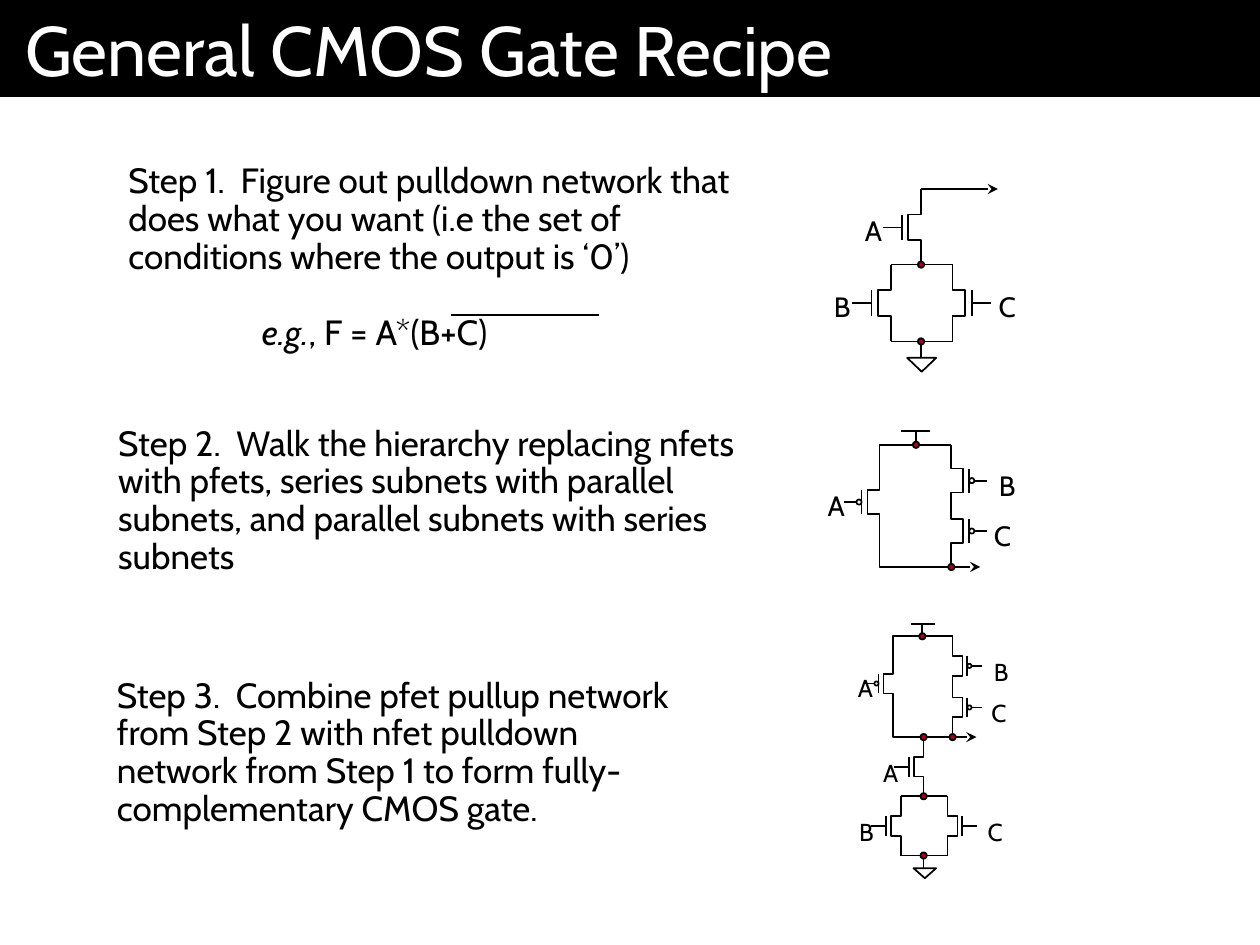
from pptx import Presentation
from pptx import util as u
from pptx.dml.color import RGBColor
from pptx.enum import shapes, text
from pptx.oxml.ns import qn
from lxml import etree

BLACK = RGBColor(0, 0, 0)
WHITE = RGBColor(255, 255, 255)
RED = RGBColor(0xA5, 0x00, 0x21)

prs = Presentation()
prs.slide_width, prs.slide_height = u.Inches(10), u.Inches(7.5)
s = prs.slides.add_slide(prs.slide_layouts[6])
CELL = prs.slide_width // 100  # grid of 100 columns by 75 rows


def wire(g, *pts, arrow=False):
    """Draw a thin line through grid points, with an arrowhead if asked."""
    pts = [(round(x * CELL), round(y * CELL)) for x, y in pts]
    if len(pts) == 2:
        sp = g.add_connector(shapes.MSO_CONNECTOR.STRAIGHT, *pts[0], *pts[1])
    else:
        fb = g.build_freeform(*pts[0], scale=1.0)
        fb.add_line_segments(pts[1:], close=False)
        sp = fb.convert_to_shape()
        sp.fill.background()
    sp.line.color.rgb = BLACK
    sp.line.width = u.Pt(1)
    if arrow:
        etree.SubElement(sp.line._get_or_add_ln(), qn("a:tailEnd"), type="stealth")
    etree.SubElement(sp._element.spPr, qn("a:effectLst"))


def write(g, box, paras, size, wrap=True, align=None):
    """Add a text box; each paragraph is a list of (words, italic) runs."""
    sp = g.add_textbox(*(round(v * CELL) for v in box))
    tf = sp.text_frame
    tf.word_wrap = wrap
    for i, runs in enumerate(paras):
        p = tf.paragraphs[0] if i == 0 else tf.add_paragraph()
        p.line_spacing = 0.9
        p.alignment = align
        for words, italic in runs:
            r = p.add_run()
            r.text = words
            fmt = {"name": "Cabin", "size": u.Pt(size), "italic": italic}
            for key, value in fmt.items():
                setattr(r.font, key, value)
            r.font.color.rgb = BLACK
    return tf


# Title bar
sp = s.shapes.add_shape(shapes.MSO_SHAPE.RECTANGLE, 0, 0, prs.slide_width, round(7.7 * CELL))
sp.shadow.inherit = False
sp.fill.solid()
sp.fill.fore_color.rgb = BLACK
sp.line.fill.background()
tf = sp.text_frame
tf.margin_left = tf.margin_right = 2 * CELL
tf.vertical_anchor = text.MSO_ANCHOR.MIDDLE
p = tf.paragraphs[0]
p.alignment = text.PP_ALIGN.LEFT
r = p.add_run()
r.text = "General CMOS Gate Recipe"
for key, value in {"name": "Cabin", "size": u.Pt(40)}.items():
    setattr(r.font, key, value)
r.font.color.rgb = WHITE

# Steps
tf = write(s.shapes, (9.2, 12.5, 50.2, 16.2), [
    [("Step 1.  Figure out pulldown network that does what you want "
      "(i.e the set of conditions where the output is ‘0’)", False)],
    [("e.g.", True), (", F = A*(B+C)", False)],
], 20)
p = tf.paragraphs[1]  # the formula stands apart and indented
p.space_before = u.Pt(22)
p._p.get_or_add_pPr().set("marL", str(round(10.6 * CELL)))
wire(s.shapes, (35.8, 25), (47.5, 25))  # overline of the formula

write(s.shapes, (8.4, 33.3, 51.6, 13.2), [
    [("Step 2.  Walk the hierarchy replacing nfets with pfets, series subnets "
      "with parallel subnets, and parallel subnets with series subnets", False)],
], 20)
write(s.shapes, (8.3, 53.3, 48.3, 13.2), [
    [("Step 3.  Combine pfet pullup network from Step 2 with nfet pulldown", False)],
    [("network from Step 1 to form fully-complementary CMOS gate.", False)],
], 20)

# Circuits: fets are (x, top, height, gate side, is pfet)
circuits = [
    {   # pulldown network
        "fets": [(73.1, 15, 6.1, -1, False), (70.7, 21, 6.1, -1, False),
                 (75.6, 21, 6.1, 1, False)],
        "wires": [[(70.7, 21), (75.6, 21)], [(70.7, 27.1), (75.6, 27.1)],
                  [(73.1, 27.1), (73.1, 28.3)]],
        "output": [(73.1, 15), (79.2, 15)],
        "ground": (72, 28.4, 2.3, 1.1),
        "dots": [(73.1, 21), (73.1, 27.1)],
        "labels": [("A", 67.1, 16.8), ("B", 65.2, 22.8), ("C", 78.1, 22.8)],
        "size": 16, "align": text.PP_ALIGN.RIGHT,
    },
    {   # pullup network
        "fets": [(69.8, 37, 5.7, -1, True), (75.5, 35.3, 5.7, 1, True),
                 (75.5, 39.3, 5.7, 1, True)],
        "wires": [[(69.8, 37), (69.8, 35.3), (75.5, 35.3)],
                  [(72.7, 35.3), (72.7, 34.2)], [(71.5, 34.2), (73.8, 34.2)]],
        "output": [(69.8, 42.7), (69.8, 45), (77.8, 45)],
        "dots": [(72.7, 35.3), (75.5, 45)],
        "labels": [("A", 64.7, 38.6), ("B", 78.3, 37), ("C", 77.9, 41)],
        "size": 16, "align": None,
    },
    {   # complete gate
        "fets": [(70.9, 51.9, 4.7, -1, True), (75.6, 50.5, 4.7, 1, True),
                 (75.6, 53.8, 4.7, 1, True), (73.3, 58.5, 4.7, -1, False),
                 (71.5, 63.2, 4.7, -1, False), (75.2, 63.2, 4.7, 1, False)],
        "wires": [[(70.9, 51.9), (70.9, 50.5), (75.6, 50.5)],
                  [(73.2, 50.5), (73.2, 49.5)], [(72.3, 49.5), (74.2, 49.5)],
                  [(71.5, 63.2), (75.2, 63.2)], [(71.5, 67.9), (75.2, 67.9)],
                  [(73.3, 67.9), (73.3, 68.9)]],
        "output": [(70.9, 56.6), (70.9, 58.5), (77.5, 58.5)],
        "ground": (72.5, 68.9, 1.8, 0.8),
        "dots": [(73.2, 50.5), (75.6, 58.5), (73.3, 58.5), (73.3, 63.2), (73.3, 67.9)],
        "labels": [("A", 67.1, 53.2), ("B", 77.9, 51.9), ("C", 77.7, 55.2),
                   ("A", 69.1, 59.9), ("B", 67.2, 64.6), ("C", 77.4, 64.6)],
        "size": 14, "align": None,
    },
]
LABEL_WIDTH = {16: {"A": 3.9, "B": 3.3, "C": 3.5}, 14: {"A": 3.2, "B": 3.2, "C": 3.2}}
OVAL, TRIANGLE = shapes.MSO_SHAPE.OVAL, shapes.MSO_SHAPE.ISOSCELES_TRIANGLE

for c in circuits:
    g = s.shapes.add_group_shape().shapes
    solids = []

    # Transistors: channel, gate plate, lead and, on a pfet, a bubble
    for x, y, h, side, pfet in c["fets"]:
        inner, plate = x + side * h / 6, x + side * h / 4
        upper, mid, lower = y + h / 3, y + h / 2, y + h * 2 / 3
        wire(g, (x, y), (x, upper), (inner, upper), (inner, lower), (x, lower), (x, y + h))
        wire(g, (plate, upper), (plate, lower))
        lead = x + side * h * 0.32 if pfet else plate
        wire(g, (lead, mid), (x + side * h / 2, mid))
        if pfet:
            d = h / 14
            solids.append((OVAL, WHITE, (plate + lead - d) / 2, mid - d / 2, d, d))

    # Wiring and output arrow
    for pts in c["wires"]:
        wire(g, *pts)
    wire(g, *c["output"], arrow=True)

    # Ground, junctions and bubbles
    if "ground" in c:
        solids.append((TRIANGLE, WHITE, *c["ground"]))
    solids += [(OVAL, RED, x - 0.25, y - 0.25, 0.5, 0.5) for x, y in c["dots"]]
    for kind, colour, *box in solids:
        sp = g.add_shape(kind, *(round(v * CELL) for v in box))
        sp.rotation = 180 if kind == TRIANGLE else 0
        sp.shadow.inherit = False
        sp.fill.solid()
        sp.fill.fore_color.rgb = colour
        sp.line.color.rgb = BLACK
        sp.line.width = u.Pt(1)

    # Input names
    for name, x, y in c["labels"]:
        box = (x, y, LABEL_WIDTH[c["size"]][name], c["size"] * 0.22)
        write(g, box, [[(name, False)]], c["size"], False, c["align"])

prs.save("out.pptx")
